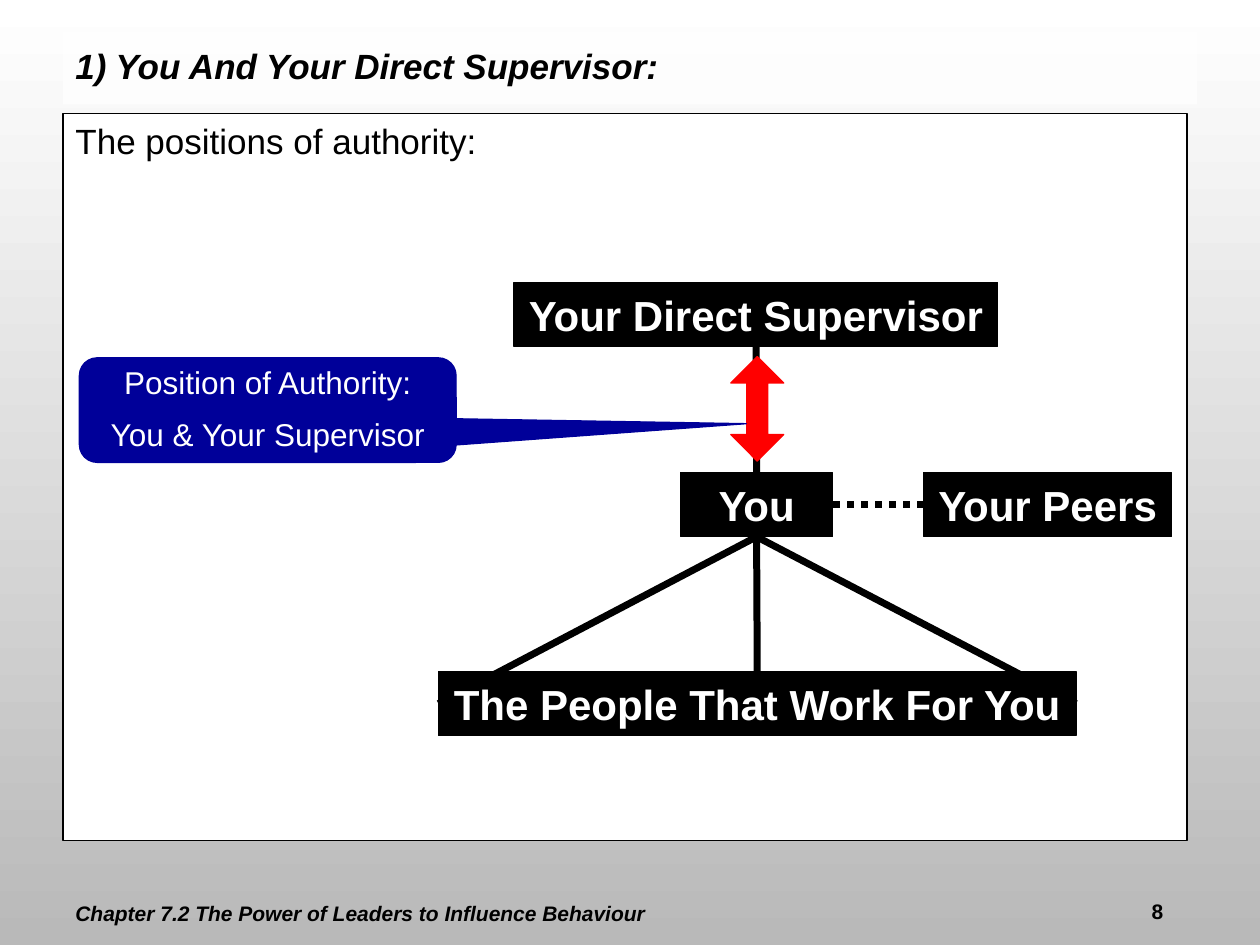
from dataclasses import dataclass

import pptx
import pptx.dml.color
import pptx.enum.dml
import pptx.enum.shapes
import pptx.enum.text
import pptx.oxml.ns
import pptx.oxml.xmlchemy
import pptx.util
from pptx.util import Inches

COLORS = {
    "black": "000000",
    "white": "FFFFFF",
    "gray": "B9B9B9",
    "red": "FF0000",
    "navy": "000099",
}
FONT = "Arial"
SHAPE = pptx.enum.shapes.MSO_SHAPE
ALIGN = pptx.enum.text.PP_ALIGN
ANCHOR = pptx.enum.text.MSO_ANCHOR
TOP, LEFT, BOTTOM, RIGHT = range(4)


@dataclass
class Role:
    """A labelled box of the organisation chart."""
    name: str
    text: str
    left: float
    top: float
    width: float
    height: float = 0.51


@dataclass
class Link:
    """A line between sides of two role boxes."""
    start: str
    start_side: int
    end: str
    end_side: int
    dotted: bool = False


ROLES = [
    Role("supervisor", "Your Direct Supervisor", 4.08, 2.24, 3.84),
    Role("you", "You", 5.4, 3.75, 1.21),
    Role("peers", "Your Peers", 7.33, 3.75, 1.97),
    Role("team", "The People That Work For You", 3.48, 5.33, 5.06),
]
LINKS = [
    Link("supervisor", BOTTOM, "you", TOP),
    Link("you", BOTTOM, "team", TOP),
    Link("you", BOTTOM, "team", LEFT),
    Link("you", BOTTOM, "team", RIGHT),
    Link("peers", LEFT, "you", RIGHT, dotted=True),
]


def rgb(name: str) -> pptx.dml.color.RGBColor:
    return pptx.dml.color.RGBColor.from_string(COLORS[name])


def write_text(shape, text: str, *, size: float, color: str = "black", bold: bool = False,
               italic: bool = False, align=ALIGN.LEFT, anchor=ANCHOR.TOP, wrap: bool = True,
               line_spacing: float = 1.0, space_before: float = 0) -> None:
    """Write one paragraph for each line of text."""
    frame = shape.text_frame
    frame.word_wrap = wrap
    frame.vertical_anchor = anchor
    for index, line in enumerate(text.split("\n")):
        paragraph = frame.add_paragraph() if index else frame.paragraphs[0]
        paragraph.alignment = align
        paragraph.line_spacing = line_spacing
        paragraph.space_before = pptx.util.Pt(space_before if index else 0)
        run = paragraph.add_run()
        run.text = line
        run.font.name = FONT
        run.font.size = pptx.util.Pt(size)
        run.font.bold = bold
        run.font.italic = italic
        run.font.color.rgb = rgb(color)


def add_box(slide, kind, left: float, top: float, width: float, height: float, *,
            fill: str, line: str | None = None, adjustments: tuple[float, ...] = ()):
    shape = slide.shapes.add_shape(kind, Inches(left), Inches(top), Inches(width), Inches(height))
    shape.shadow.inherit = False
    shape.fill.solid()
    shape.fill.fore_color.rgb = rgb(fill)
    if line:
        shape.line.color.rgb = rgb(line)
        shape.line.width = pptx.util.Pt(0.75)
    else:
        shape.line.fill.background()
    for index, value in enumerate(adjustments):
        shape.adjustments[index] = value
    return shape


def add_role(slide, role: Role):
    shape = add_box(slide, SHAPE.RECTANGLE, role.left, role.top, role.width, role.height,
                    fill="black", line="black")
    write_text(shape, role.text, size=24, color="white", bold=True, align=ALIGN.CENTER,
               anchor=ANCHOR.MIDDLE, wrap=False)
    # Fixed size keeps the box wider than its short label
    shape.text_frame.auto_size = pptx.enum.text.MSO_AUTO_SIZE.NONE
    return shape


def add_link(slide, link: Link, boxes: dict) -> None:
    connector = slide.shapes.add_connector(pptx.enum.shapes.MSO_CONNECTOR.STRAIGHT, 0, 0, 0, 0)
    connector.begin_connect(boxes[link.start], link.start_side)
    connector.end_connect(boxes[link.end], link.end_side)
    connector.line.color.rgb = rgb("black")
    connector.line.width = pptx.util.Pt(4)
    if link.dotted:
        connector.line.dash_style = pptx.enum.dml.MSO_LINE.ROUND_DOT
    connector._element.spPr.append(pptx.oxml.xmlchemy.OxmlElement("a:effectLst"))


def add_label(slide, text: str, left: float, top: float, width: float, height: float,
              **text_format) -> None:
    box = slide.shapes.add_textbox(Inches(left), Inches(top), Inches(width), Inches(height))
    write_text(box, text, size=12, bold=True, **text_format)


def set_background(slide) -> None:
    fill = slide.background.fill
    fill.gradient()
    fill.gradient_angle = 270
    for stop, color, position in zip(fill.gradient_stops, ("white", "gray"), (0, 1)):
        stop.color.rgb = rgb(color)
        stop.position = position


def set_opacity(shape, percent: int) -> None:
    color = shape._element.spPr.find(".//" + pptx.oxml.ns.qn("a:srgbClr"))
    alpha = pptx.oxml.xmlchemy.OxmlElement("a:alpha")
    alpha.set("val", str(percent * 1000))
    color.append(alpha)


def main() -> None:
    presentation = pptx.Presentation()
    presentation.slide_width = Inches(10)
    presentation.slide_height = Inches(7.5)
    slide = presentation.slides.add_slide(presentation.slide_layouts[6])
    set_background(slide)

    # Content panel
    panel = add_box(slide, SHAPE.RECTANGLE, 0.5, 0.9, 8.92, 5.77, fill="white", line="black")
    write_text(panel, "The positions of authority:", size=20)

    # Organisation chart, with the team box in front of the lines
    boxes = {role.name: add_role(slide, role) for role in ROLES}
    for link in LINKS:
        add_link(slide, link, boxes)
    slide.shapes._spTree.append(boxes["team"]._element)

    # Authority arrow and its callout
    add_box(slide, SHAPE.UP_DOWN_ARROW, 5.8, 2.83, 0.42, 0.83, fill="red", line="red",
            adjustments=(0.5, 0.4))
    callout = add_box(slide, SHAPE.ROUNDED_RECTANGULAR_CALLOUT, 0.63, 2.84, 2.99, 0.83,
                      fill="navy", line="navy", adjustments=(1.27, 0.13, 0.17))
    write_text(callout, "Position of Authority:\nYou & Your Supervisor", size=18, color="white",
               align=ALIGN.CENTER, anchor=ANCHOR.MIDDLE, line_spacing=0.9, space_before=10)

    # Title band
    title = add_box(slide, SHAPE.RECTANGLE, 0.5, 0.25, 9, 0.58, fill="white")
    set_opacity(title, 70)
    write_text(title, "1) You And Your Direct Supervisor:", size=20, bold=True, italic=True,
               anchor=ANCHOR.MIDDLE, line_spacing=0.9)

    # Footer and page number
    add_label(slide, "Chapter 7.2 The Power of Leaders to Influence Behaviour",
              0.5, 7.01, 5.5, 0.5, italic=True, anchor=ANCHOR.MIDDLE, line_spacing=0.9)
    add_label(slide, "8", 8.33, 7.08, 1, 0.25, align=ALIGN.RIGHT)

    presentation.save("out.pptx")


if __name__ == "__main__":
    main()
